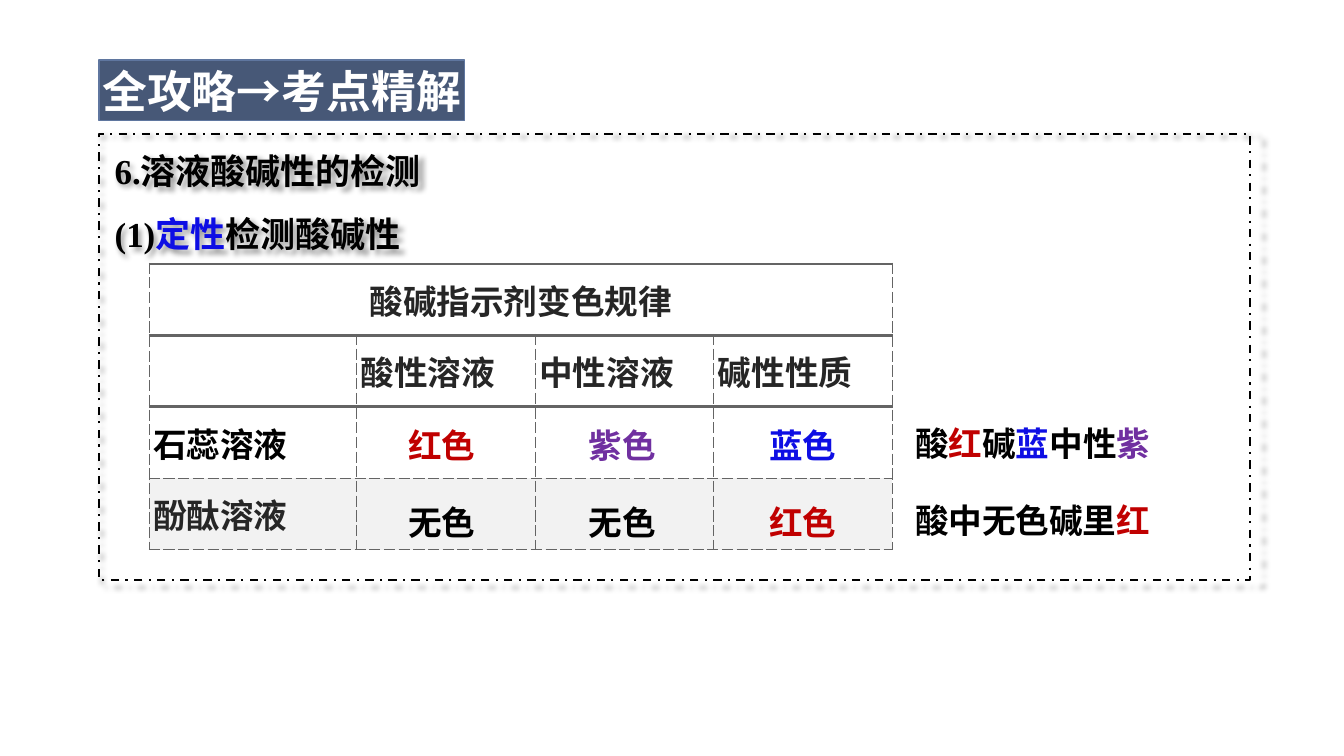
from pptx import Presentation
from pptx.dml.color import RGBColor
from pptx.enum.dml import MSO_LINE
from pptx.enum.shapes import MSO_SHAPE
from pptx.enum.text import MSO_ANCHOR, PP_ALIGN
from pptx.oxml import parse_xml
from pptx.oxml.ns import nsdecls
from pptx.util import Cm, Pt

LEFT, MID = PP_ALIGN.LEFT, PP_ALIGN.CENTER
TOP, CENTER = MSO_ANCHOR.TOP, MSO_ANCHOR.MIDDLE
DASHDOT = MSO_LINE.DASH_DOT
RECT = MSO_SHAPE.RECTANGLE
ROMAN, SANS, HAN = "Times New Roman", "Arial", "Noto Sans CJK SC"
BLACK, DARK, WHITE, GREY = "000000", "262626", "FFFFFF", "F2F2F2"
RED, BLUE, PURPLE, EDGE = "C00000", "0E0EE4", "7030A0", "646464"
THICK, THIN = (2.25, "solid"), (0.75, "sysDash")
SIDES = ("lnL", "lnR", "lnT", "lnB")


def paint(hue):
    """Return the colour for a hex string."""
    return RGBColor.from_string(hue)


def write(para, runs, size=24, font=ROMAN, align=LEFT, space=1.0):
    """Fill a paragraph with (text, colour) runs in one bold font."""
    para.alignment, para.line_spacing = align, space
    para.font.size, para.font.bold, para.font.name = Pt(size), True, font
    ea = parse_xml(f'<a:ea {nsdecls("a")} typeface="{HAN}"/>')
    para.font._element.append(ea)
    for text, hue in runs:
        run = para.add_run()
        run.text = text
        run.font.color.rgb = paint(hue)


def inset(frame, left, top, right, bottom):
    """Set the four margins of a text frame in centimetres."""
    frame.margin_left, frame.margin_top = Cm(left), Cm(top)
    frame.margin_right, frame.margin_bottom = Cm(right), Cm(bottom)


def banner(slide, box):
    """Shape the title placeholder as a rounded banner."""
    title = slide.shapes.title
    title.left, title.top, title.width, title.height = map(Cm, box)
    title._element.spPr.append(parse_xml(
        f'<a:prstGeom {nsdecls("a")} prst="roundRect"><a:avLst/></a:prstGeom>'))
    title.fill.solid()
    title.fill.fore_color.rgb = paint("475877")
    title.line.color.rgb = paint("5F769F")
    title.line.width = Pt(1.25)
    frame = title.text_frame
    inset(frame, 0, 0, 0, 0)
    frame.word_wrap, frame.vertical_anchor = False, CENTER
    write(frame.paragraphs[0], [("全攻略→考点精解", WHITE)], 32, HAN, MID)


def panel(slide, box):
    """Draw the dashed frame with its two headings and shadow."""
    shape = slide.shapes.add_shape(RECT, *map(Cm, box))
    shape.fill.background()
    shape.line.color.rgb = paint(BLACK)
    shape.line.width, shape.line.dash_style = Pt(1.5), DASHDOT
    shape._element.spPr.append(parse_xml(
        f'<a:effectLst {nsdecls("a")}><a:outerShdw blurRad="50800" dist="38100" '
        'dir="2700000" sx="101000" sy="101000" algn="tl" rotWithShape="0">'
        '<a:srgbClr val="000000"><a:alpha val="40000"/></a:srgbClr>'
        '</a:outerShdw></a:effectLst>'))
    frame = shape.text_frame
    inset(frame, 0.4, 0.18, 0.18, 0.18)
    frame.word_wrap, frame.vertical_anchor = True, TOP
    write(frame.paragraphs[0], [("6.溶液酸碱性的检测", BLACK)], 25, space=1.2)
    write(frame.add_paragraph(),
          [("(1)", BLACK), ("定性", BLUE), ("检测酸碱性", BLACK)], 25, space=1.5)


def border(cell, styles):
    """Give a cell its left, right, top and bottom lines."""
    props = cell._tc.get_or_add_tcPr()
    for spot, (side, (width, dash)) in enumerate(zip(SIDES, styles)):
        props.insert(spot, parse_xml(
            f'<a:{side} {nsdecls("a")} w="{Pt(width)}"><a:solidFill>'
            f'<a:srgbClr val="{EDGE}"/></a:solidFill>'
            f'<a:prstDash val="{dash}"/></a:{side}>'))


def grid(slide, box):
    """Build the indicator table with its heading row merged."""
    rows = [
        (["酸碱指示剂变色规律"], DARK, ROMAN, MID, WHITE, THICK, THICK),
        (["", "酸性溶液", "中性溶液", "碱性性质"],
         DARK, SANS, LEFT, WHITE, THICK, THICK),
        (["石蕊溶液"], BLACK, ROMAN, LEFT, WHITE, THICK, THIN),
        (["酚酞溶液"], DARK, SANS, LEFT, GREY, THIN, THIN),
    ]
    table = slide.shapes.add_table(len(rows), 4, *map(Cm, box)).table
    table.first_row = table.horz_banding = False
    for col, width in zip(table.columns, (5.23, 4.5, 4.5, 4.5)):
        col.width = Cm(width)
    for row, (words, hue, font, align, fill, top, low) in enumerate(rows):
        for col in range(4):
            cell = table.cell(row, col)
            cell.fill.solid()
            cell.fill.fore_color.rgb = paint(fill)
            border(cell, (THIN, THIN, top, low))
            inset(cell, 0.1, 0.1, 0.1, 0.1)
            cell.vertical_anchor = CENTER
            if col < len(words) and words[col]:
                write(cell.text_frame.paragraphs[0], [(words[col], hue)],
                      font=font, align=align)
    table.cell(0, 0).merge(table.cell(0, 3))


def pair(slide, box, lines, align=LEFT, wrap=True):
    """Place a text box with one widely spaced line per table row."""
    frame = slide.shapes.add_textbox(*map(Cm, box)).text_frame
    inset(frame, 0.2, 0.1, 0.2, 0.1)
    frame.word_wrap = wrap
    for spot, runs in enumerate(lines):
        para = frame.add_paragraph() if spot else frame.paragraphs[0]
        write(para, runs, align=align, space=1.9)


def hues(slide, box, step):
    """Set the colour results at equal steps across the table."""
    left, top, width, height = box
    cols = [
        [("红色", RED), ("无色", BLACK)],
        [("紫色", PURPLE), ("无色", BLACK)],
        [("蓝色", BLUE), ("红色", RED)],
    ]
    for spot, col in enumerate(cols):
        pair(slide, (left + spot * step, top, width, height),
             [[run] for run in col], MID, False)


def main():
    """Make the slide and save it."""
    deck = Presentation()
    deck.slide_width, deck.slide_height = Cm(33.87), Cm(19.05)
    slide = deck.slides.add_slide(deck.slide_layouts[5])
    panel(slide, (2.49, 3.38, 29.01, 11.23))
    grid(slide, (3.76, 6.65, 18.73, 7.2))
    hues(slide, (10.08, 9.7, 2.11, 4.09), 4.55)
    pair(slide, (22.86, 9.65, 7.06, 4.09), [
        [("酸", BLACK), ("红", RED), ("碱", BLACK), ("蓝", BLUE),
         ("中性", BLACK), ("紫", PURPLE)],
        [("酸中无色碱里", BLACK), ("红", RED)],
    ])
    banner(slide, (2.49, 1.52, 9.22, 1.52))
    deck.save("out.pptx")


if __name__ == "__main__":
    main()
